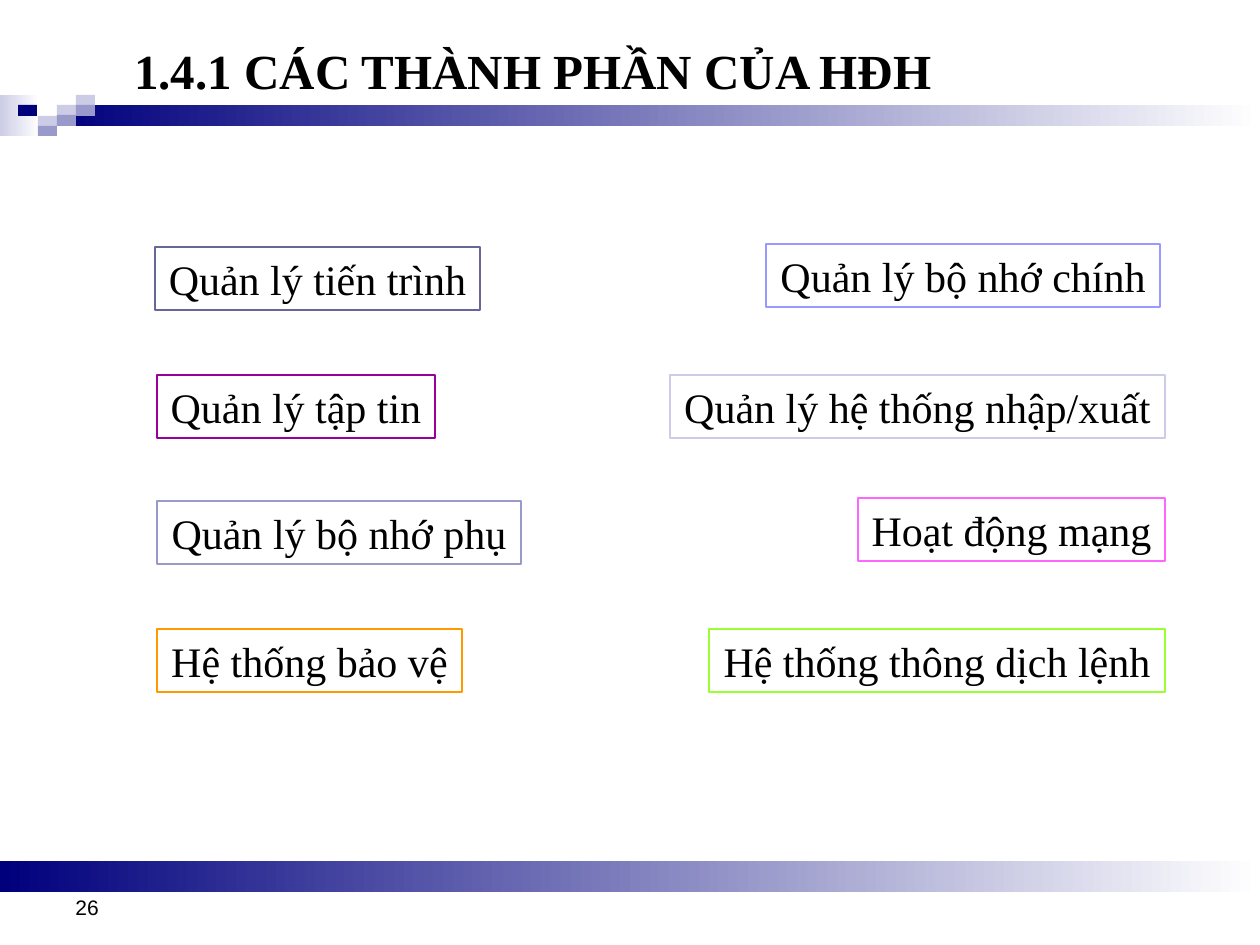
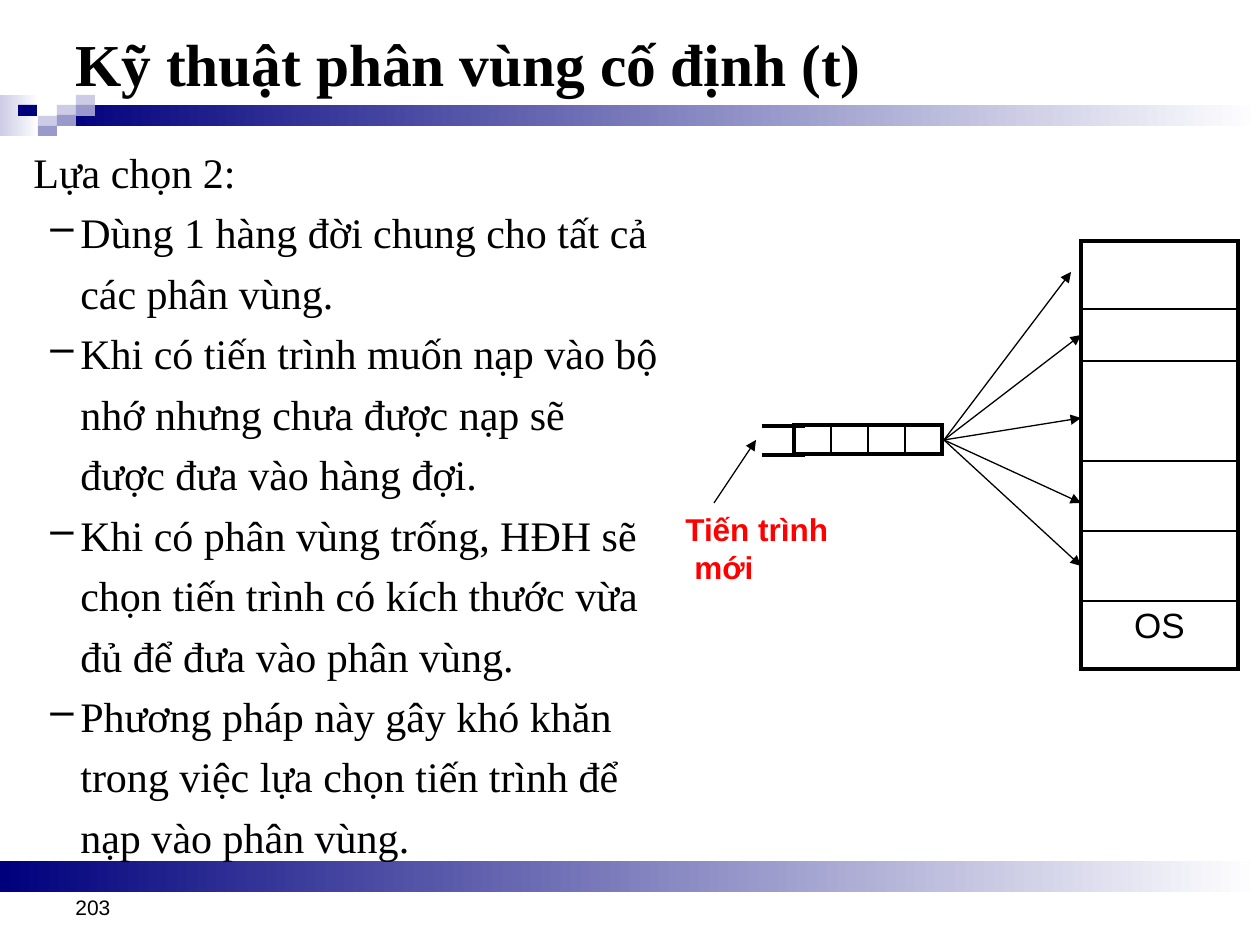
import pptx
import pptx.dml.color
import pptx.enum.shapes
import pptx.enum.text
import pptx.oxml
import pptx.oxml.ns
import pptx.util
from lxml import etree


class Theme:
    navy = "00007D"
    lilac = "9999CC"
    pale = "CCCCE6"
    white = "FFFFFF"
    black = "000000"
    red = "FF0000"
    serif = "Times New Roman"
    sans = "Arial"
    body = 24
    partition = 20
    label = 18
    number = 12
    thin = 0.75
    rule = 1
    rail = 1.75
    frame = 2.25


PX = 914400 / 126
RGB = pptx.dml.color.RGBColor.from_string
Pt = pptx.util.Pt
qn = pptx.oxml.ns.qn
RECT = pptx.enum.shapes.MSO_SHAPE.RECTANGLE
STRAIGHT = pptx.enum.shapes.MSO_CONNECTOR.STRAIGHT
ALIGN = pptx.enum.text.PP_ALIGN
ANCHOR = pptx.enum.text.MSO_ANCHOR
AUTO = pptx.enum.text.MSO_AUTO_SIZE


def add_run(p, text, size, font=Theme.serif, color=Theme.black, bold=False):
    r = p.add_run()
    r.text = text
    r.font.size = Pt(size)
    r.font.name = font
    r.font.bold = bold
    r.font.color.rgb = RGB(color)


def add_line(s, points, width, arrow=False):
    cxn = s.shapes.add_connector(STRAIGHT, *[round(v * PX) for v in points])
    cxn.line.color.rgb = RGB(Theme.black)
    cxn.line.width = Pt(width)
    if arrow:
        etree.SubElement(cxn.line._get_or_add_ln(), qn("a:tailEnd"), type="triangle")
    etree.SubElement(cxn._element.spPr, qn("a:effectLst"))


prs = pptx.Presentation()
prs.slide_width = round(1260 * PX)
prs.slide_height = round(945 * PX)

bands = [
    (0, 95, 39, 41, Theme.pale, True),
    (57, 105, 1203, 21, Theme.navy, True),
    (57, 105, 19, 11, Theme.pale, False),
    (76, 95, 19, 11, Theme.pale, False),
    (76, 105, 19, 11, Theme.lilac, False),
    (38, 116, 19, 10, Theme.pale, False),
    (18, 105, 19, 11, Theme.navy, False),
    (57, 115, 19, 11, Theme.lilac, False),
    (38, 126, 19, 10, Theme.lilac, False),
    (0, 861, 1260, 31, Theme.navy, True),
]
headers = [
    ("1.4.1 CÁC THÀNH PHẦN CỦA HĐH", (122, 34, 1134, 84), 28, "26"),
    ("Kỹ thuật phân vùng cố định (t)", (63, 21, 1008, 129), 34, "203"),
]

for title, title_box, title_size, number in headers:
    s = prs.slides.add_slide(prs.slide_layouts[6])
    for x, y, w, h, color, fades in bands:
        sp = s.shapes.add_shape(RECT, *[round(v * PX) for v in (x, y, w, h)])
        sp.shadow.inherit = False
        sp.line.fill.background()
        if fades:
            sp.fill.gradient()
            sp.fill.gradient_angle = 0
            for stop, shade in zip(sp.fill.gradient_stops, (color, Theme.white)):
                stop.color.rgb = RGB(shade)
        else:
            sp.fill.solid()
            sp.fill.fore_color.rgb = RGB(color)
    for text, box, size, font, bold, anchor in (
        (number, (63, 861, 294, 65), Theme.number, Theme.sans, False, ANCHOR.BOTTOM),
        (title, title_box, title_size, Theme.serif, True, ANCHOR.TOP),
    ):
        tf = s.shapes.add_textbox(*[round(v * PX) for v in box]).text_frame
        tf.word_wrap = True
        tf.vertical_anchor = anchor
        add_run(tf.paragraphs[0], text, size, font, bold=bold)

components, partitions = prs.slides

for text, x, y, w, color in (
    ("Quản lý tiến trình", 155, 247, 325, "666699"),
    ("Quản lý bộ nhớ chính", 766, 244, 394, "9999FF"),
    ("Quản lý tập tin", 157, 375, 278, "990099"),
    ("Quản lý hệ thống nhập/xuất", 670, 375, 495, Theme.pale),
    ("Quản lý bộ nhớ phụ", 157, 501, 364, Theme.lilac),
    ("Hoạt động mạng", 858, 498, 307, "FF66FF"),
    ("Hệ thống bảo vệ", 157, 629, 305, "FF9900"),
    ("Hệ thống thông dịch lệnh", 709, 629, 456, "99FF33"),
):
    sp = components.shapes.add_shape(RECT, *[round(v * PX) for v in (x, y, w, 63)])
    sp.shadow.inherit = False
    sp.fill.background()
    sp.line.color.rgb = RGB(color)
    sp.line.width = Pt(Theme.thin)
    tf = sp.text_frame
    tf.word_wrap = False
    tf.auto_size = AUTO.SHAPE_TO_FIT_TEXT
    tf.vertical_anchor = ANCHOR.TOP
    p = tf.paragraphs[0]
    p.alignment = ALIGN.CENTER
    add_run(p, text, Theme.body)

s = partitions
tf = s.shapes.add_textbox(*[round(v * PX) for v in (21, 130, 651, 746)]).text_frame
tf.word_wrap = True
for i, text in enumerate((
    "Lựa chọn 2:",
    "Dùng 1 hàng đời chung cho tất cả các phân vùng.",
    "Khi có tiến trình muốn nạp vào bộ nhớ nhưng chưa được nạp sẽ được đưa vào hàng đợi.",
    "Khi có phân vùng trống, HĐH sẽ chọn tiến trình có kích thước vừa đủ để đưa vào phân vùng.",
    "Phương pháp này gây khó khăn trong việc lựa chọn tiến trình để nạp vào phân vùng.",
)):
    p = tf.add_paragraph() if i else tf.paragraphs[0]
    p.line_spacing = 1.2
    if i:
        p.level = 1
        pPr = p._p.get_or_add_pPr()
        pPr.set("marL", str(round(47 * PX)))
        pPr.set("indent", str(round(-30 * PX)))
        etree.SubElement(pPr, qn("a:buChar"), char="–")
    add_run(p, text, Theme.body)

tf = s.shapes.add_textbox(*[round(v * PX) for v in (673, 504, 188, 89)]).text_frame
tf.word_wrap = True
for i, text in enumerate(("Tiến trình", "mới")):
    p = tf.add_paragraph() if i else tf.paragraphs[0]
    p._p.get_or_add_pPr().set("marL", str(round(9 * i * PX)))
    add_run(p, text, Theme.label, Theme.sans, Theme.red, True)

for x, y, widths, heights in (
    (1081, 241, [157], [68, 52, 100, 70, 70, 68]),
    (794, 425, [37] * 4, [29]),
):
    rows, cols = len(heights), len(widths)
    box = (x, y, sum(widths), sum(heights))
    tbl = s.shapes.add_table(rows, cols, *[round(v * PX) for v in box]).table
    tbl.first_row = tbl.horz_banding = False
    for col, w in zip(tbl.columns, widths):
        col.width = round(w * PX)
    for row, h in zip(tbl.rows, heights):
        row.height = round(h * PX)
    for i in range(rows):
        for j in range(cols):
            cell = tbl.cell(i, j)
            tcPr = cell._tc.get_or_add_tcPr()
            for edge, outer in (("L", j == 0), ("R", j == cols - 1),
                                ("T", i == 0), ("B", i == rows - 1)):
                width = Pt(Theme.frame if outer else Theme.rule)
                ln = etree.SubElement(tcPr, qn(f"a:ln{edge}"), w=str(width))
                fill = etree.SubElement(ln, qn("a:solidFill"))
                etree.SubElement(fill, qn("a:srgbClr"), val=Theme.black)
            cell.fill.background()
            p = cell.text_frame.paragraphs[0]
            if i == 5:
                p.alignment = ALIGN.CENTER
                add_run(p, "OS", Theme.partition, Theme.sans)
            else:
                cell.margin_top = cell.margin_bottom = 0
                etree.SubElement(p._p, qn("a:endParaRPr"), sz="600")

for x, y in ((1071, 272), (1081, 335), (1081, 418), (1081, 503), (1081, 566)):
    add_line(s, (944, 440, x, y), Theme.thin, True)
for y in (426, 455):
    add_line(s, (762, y, 805, y), Theme.rail)
add_line(s, (714, 503, 756, 440), Theme.thin, True)

prs.save("out.pptx")
